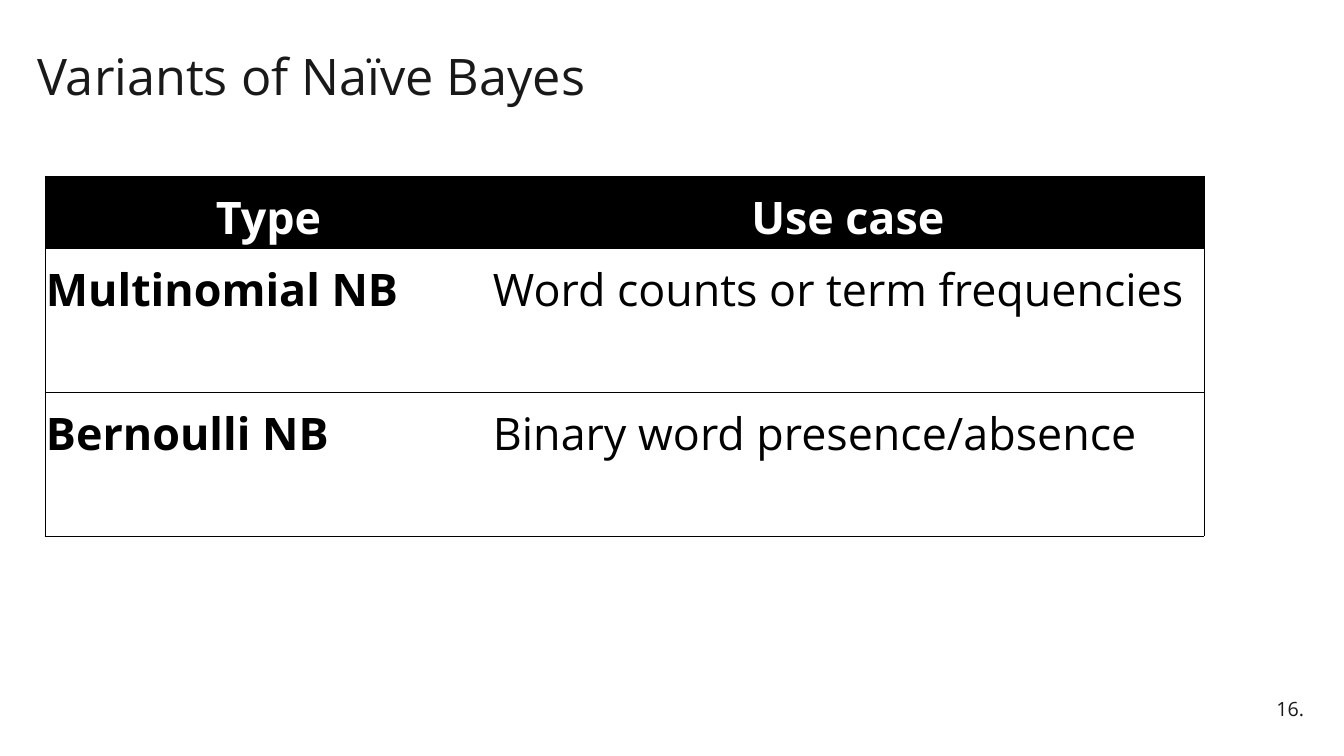
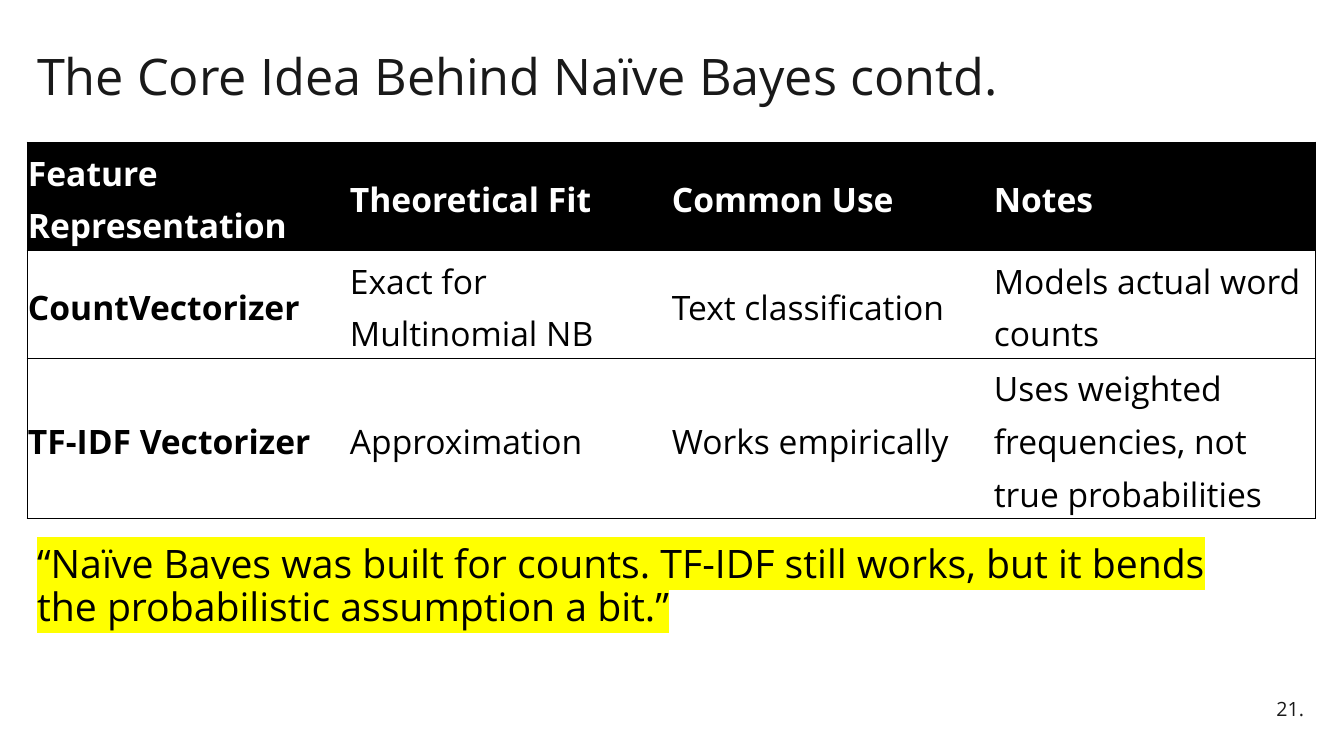
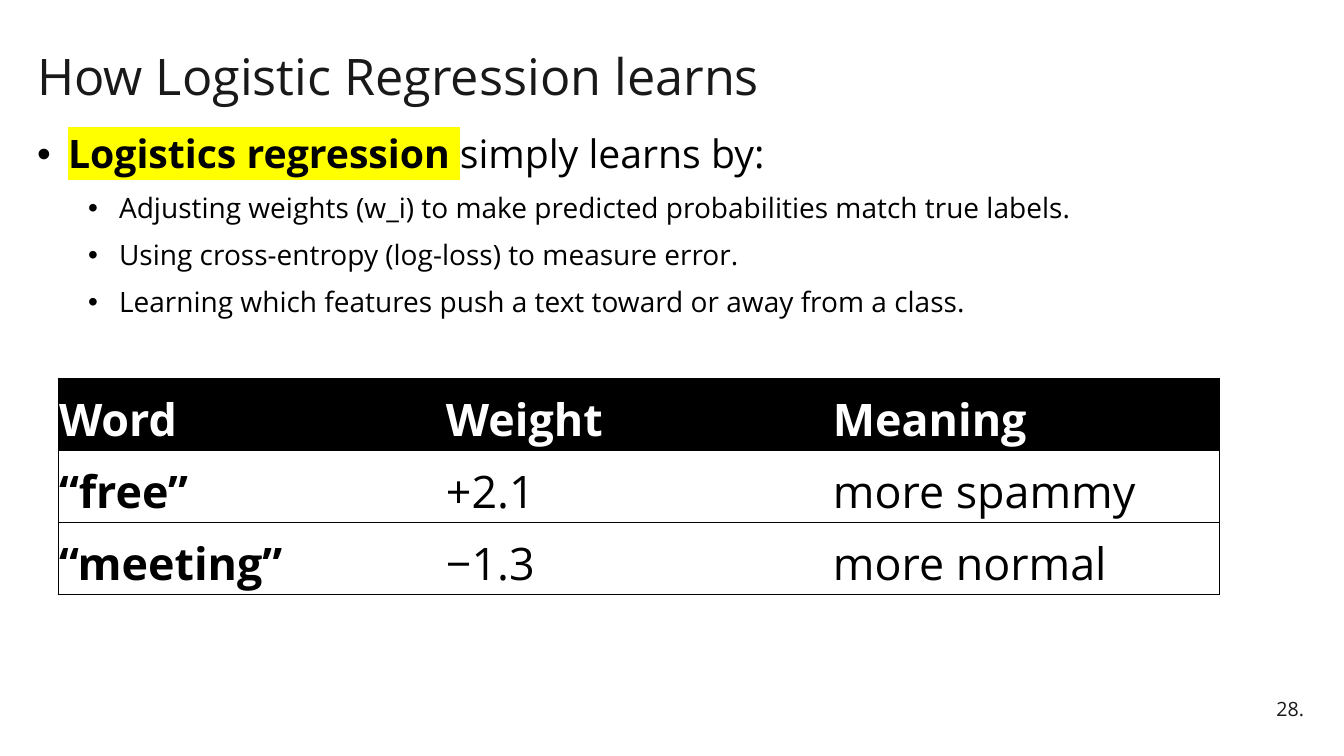
from dataclasses import dataclass

from lxml.etree import SubElement as Sub
from pptx import Presentation
from pptx.dml.color import RGBColor as RGB
from pptx.enum.text import MSO_ANCHOR as Anchor, MSO_AUTO_SIZE as Fit, PP_ALIGN as Align
from pptx.oxml.ns import qn
from pptx.util import Pt

PX = 914400 / 100.8


# Theme and page parts
@dataclass(frozen=True)
class Theme:
    font: str = "Open Sans"
    ink: str = "191919"
    black: str = "000000"
    white: str = "FFFFFF"
    mark: str = "FFFF00"
    title: int = 36
    big: int = 32
    lead: int = 28
    mid: int = 24
    item: int = 20
    foot: int = 14
    rule: float = 0.5


@dataclass(frozen=True)
class Box:
    x: int
    y: int
    w: int
    h: int


@dataclass(frozen=True)
class Span:
    text: str
    bold: bool = False
    mark: bool = False


@dataclass(frozen=True)
class Line:
    spans: tuple[Span, ...]
    size: int
    left: int = 0
    level: int = 0


@dataclass(frozen=True)
class Grid:
    x: int
    y: int
    cols: tuple[int, ...]
    rows: tuple[int, ...]
    cells: tuple[tuple[str, ...], ...]
    size: int
    head: Align = Align.LEFT
    anchor: Anchor = Anchor.MIDDLE


T = Theme()
HEAD = Box(27, 46, 1159, 66)
FOOT = Box(1171, 690, 143, 40)
HANG = 31


def emu(px: int) -> int:
    return round(px * PX)


def place(shape, box: Box) -> None:
    shape.left, shape.top = emu(box.x), emu(box.y)
    shape.width, shape.height = emu(box.w), emu(box.h)


# Text
def write(para, text: str, *, size: int, color: str = T.black, bold: bool = False,
          mark: bool = False, align: Align = Align.LEFT, lead: float = 0.9,
          after: int = 0) -> None:
    para.alignment, para.line_spacing = align, lead
    para.space_before, para.space_after = Pt(0), Pt(after)
    run = para.add_run()
    run.text = text
    font = run.font
    font.name, font.size, font.bold = T.font, Pt(size), bold
    font.color.rgb = RGB.from_string(color)
    if mark:
        props = run._r.get_or_add_rPr()
        glow = Sub(props, qn("a:highlight"))
        Sub(glow, qn("a:srgbClr"), val=T.mark)
        props.find(qn("a:solidFill")).addnext(glow)


def frame(shape, anchor: Anchor):
    body = shape.text_frame
    body.word_wrap, body.auto_size = True, Fit.NONE
    body.vertical_anchor = anchor
    return body


def fill(shape, box: Box, lines: list[Line]) -> None:
    place(shape, box)
    body = frame(shape, Anchor.TOP)
    for i, line in enumerate(lines):
        para = body.add_paragraph() if i else body.paragraphs[0]
        para.level = line.level
        props = para._p.get_or_add_pPr()
        props.set("marL", str(emu(line.left)))
        props.set("indent", str(emu(-HANG if line.left else 0)))
        if line.left:
            Sub(props, qn("a:buChar"), char="•")
        else:
            Sub(props, qn("a:buNone"))
        for span in line.spans:
            write(para, span.text, size=line.size, bold=span.bold, mark=span.mark,
                  after=12 if line.left else 0)


# Tables
def edge(cell, side: str, on: bool) -> None:
    line = Sub(cell._tc.get_or_add_tcPr(), qn(f"a:ln{side}"), w=str(Pt(T.rule)))
    if on:
        Sub(Sub(line, qn("a:solidFill")), qn("a:srgbClr"), val=T.black)
    else:
        Sub(line, qn("a:noFill"))


def draw(slide, grid: Grid) -> None:
    rows, cols = len(grid.rows), len(grid.cols)
    table = slide.shapes.add_table(rows, cols, emu(grid.x), emu(grid.y),
                                   emu(sum(grid.cols)), emu(sum(grid.rows))).table
    table.first_row = table.horz_banding = False
    for col, width in zip(table.columns, grid.cols):
        col.width = emu(width)
    for r, texts in enumerate(grid.cells):
        table.rows[r].height = emu(grid.rows[r])
        top = r == 0
        for c, text in enumerate(texts):
            cell = table.cell(r, c)
            cell.margin_left = cell.margin_right = emu(1)
            cell.margin_top = cell.margin_bottom = emu(1)
            cell.vertical_anchor = grid.anchor
            edges = {"L": c == 0, "R": c == cols - 1, "T": True, "B": True}
            for side, on in edges.items():
                edge(cell, side, on)
            if top:
                cell.fill.solid()
                cell.fill.fore_color.rgb = RGB.from_string(T.black)
            else:
                cell.fill.background()
            write(cell.text_frame.paragraphs[0], text, size=grid.size,
                  color=T.white if top else T.black, bold=top or c == 0,
                  align=grid.head if top else Align.LEFT, lead=1.15, after=8)


# Slides
def page(deck, title: str, num: str, layout: int):
    slide = deck.slides.add_slide(deck.slide_layouts[layout])
    head = slide.shapes.title
    place(head, HEAD)
    write(frame(head, Anchor.MIDDLE).paragraphs[0], title, size=T.title, color=T.ink)
    foot = slide.shapes.add_textbox(0, 0, 0, 0)
    place(foot, FOOT)
    write(frame(foot, Anchor.MIDDLE).paragraphs[0], num, size=T.foot, color=T.ink,
          align=Align.RIGHT, after=6)
    return slide


def types(deck) -> None:
    slide = page(deck, "Variants of Naïve Bayes", "16.", 5)
    draw(slide, Grid(45, 176, (447, 712), (72, 144, 144), (
        ("Type", "Use case"),
        ("Multinomial NB", "Word counts or term frequencies"),
        ("Bernoulli NB", "Binary word presence/absence"),
    ), T.big, Align.CENTER, Anchor.TOP))


def idea(deck) -> None:
    slide = page(deck, "The Core Idea Behind Naïve Bayes contd.", "21.", 1)
    quote = ("“Naïve Bayes was built for counts. TF-IDF still works, "
             "but it bends the probabilistic assumption a bit.”")
    fill(slide.placeholders[1], Box(27, 540, 1206, 110),
         [Line((Span(quote, mark=True),), T.lead)])
    draw(slide, Grid(27, 142, (322,) * 4, (108, 108, 160), (
        ("Feature Representation", "Theoretical Fit", "Common Use", "Notes"),
        ("CountVectorizer", "Exact for Multinomial NB", "Text classification",
         "Models actual word counts"),
        ("TF-IDF Vectorizer", "Approximation", "Works empirically",
         "Uses weighted frequencies, not true probabilities"),
    ), T.mid))


def learn(deck) -> None:
    slide = page(deck, "How Logistic Regression learns", "28.", 1)
    lead = (Span("Logistics regression ", bold=True, mark=True),
            Span("simply learns by:"))
    steps = (
        "Adjusting weights (w_i) to make predicted probabilities match true labels.",
        "Using cross-entropy (log-loss) to measure error.",
        "Learning which features push a text toward or away from a class.",
    )
    fill(slide.placeholders[1], Box(27, 130, 1259, 220),
         [Line(lead, T.lead, HANG)]
         + [Line((Span(step),), T.item, 82, 1) for step in steps])
    draw(slide, Grid(58, 378, (387,) * 3, (72,) * 3, (
        ("Word", "Weight", "Meaning"),
        ("“free”", "+2.1", "more spammy"),
        ("“meeting”", "−1.3", "more normal"),
    ), T.big))


def main() -> None:
    deck = Presentation()
    deck.slide_width, deck.slide_height = emu(1344), emu(756)
    for build in (types, idea, learn):
        build(deck)
    deck.save("out.pptx")


if __name__ == "__main__":
    main()
